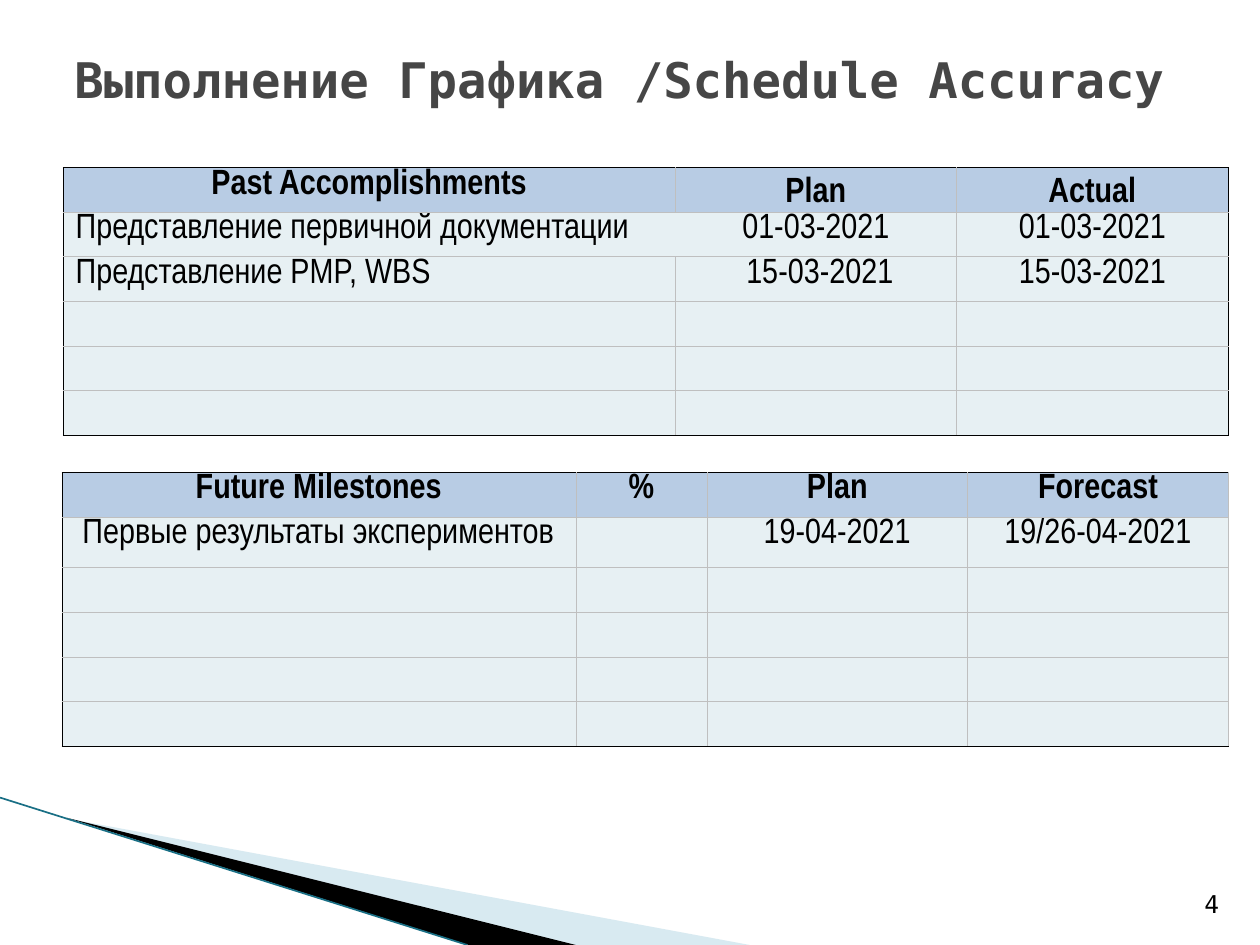
from dataclasses import dataclass

from lxml.etree import SubElement
from pptx import Presentation
from pptx.dml.color import RGBColor as Rgb
from pptx.enum.shapes import MSO_CONNECTOR as Connector
from pptx.enum.text import MSO_ANCHOR as Anchor, PP_ALIGN as Align
from pptx.oxml.ns import qn
from pptx.util import Inches, Pt


@dataclass(frozen=True)
class Theme:
    title_color: str = "464646"
    ink: str = "000000"
    header_fill: str = "B8CCE4"
    body_fill: str = "E7F0F3"
    grid: str = "BFBFBF"
    pale_wedge: str = "9FCBDC"
    accent_line: str = "196F85"
    mono: str = "DejaVu Sans Mono"
    narrow: str = "Arial Narrow"
    title_size: int = 28
    table_size: int = 20
    number_size: int = 14
    border_width: float = 0.23


class ScheduleSlide:
    """Holds the theme and the current slide."""

    def __init__(self, deck, theme):
        self.theme = theme
        self.slide = deck.slides.add_slide(deck.slide_layouts[5])
        self.shapes = self.slide.shapes

    def add_text(self, paragraph, text, font, size, color, bold=False):
        run = paragraph.add_run()
        run.text = text
        run.font.name = font
        run.font.size = Pt(size)
        run.font.bold = bold
        run.font.color.rgb = Rgb.from_string(color)

    def set_insets(self, frame, side, top, bottom):
        frame.margin_left = frame.margin_right = Inches(side)
        frame.margin_top, frame.margin_bottom = Inches(top), Inches(bottom)

    def title(self, text, left, top, width, height):
        heading = self.shapes.title
        heading.left, heading.top = Inches(left), Inches(top)
        heading.width, heading.height = Inches(width), Inches(height)
        frame = heading.text_frame
        frame.word_wrap = True
        frame.vertical_anchor = Anchor.TOP
        self.set_insets(frame, 0.09, 0.09, 0.04)
        paragraph = frame.paragraphs[0]
        paragraph.alignment = Align.LEFT
        self.add_text(paragraph, text, self.theme.mono, self.theme.title_size,
                      self.theme.title_color, bold=True)

    def wedge(self, points, color, opacity=100):
        corners = [(Inches(x), Inches(y)) for x, y in points]
        builder = self.shapes.build_freeform(*corners[0], scale=1.0)
        builder.add_line_segments(corners[1:], close=True)
        wedge = builder.convert_to_shape()
        wedge.shadow.inherit = False
        wedge.line.fill.background()
        wedge.fill.solid()
        wedge.fill.fore_color.rgb = Rgb.from_string(color)
        if opacity < 100:
            tint = wedge._element.spPr.find(".//" + qn("a:srgbClr"))
            SubElement(tint, qn("a:alpha"), val=str(opacity * 1000))

    def line(self, start, end, color, width):
        rule = self.shapes.add_connector(
            Connector.STRAIGHT, *(Inches(value) for value in start + end))
        rule.line.color.rgb = Rgb.from_string(color)
        rule.line.width = Pt(width)
        SubElement(rule._element.spPr, qn("a:effectLst"))

    def border(self, cell, sides):
        """Draw L, R, T and B borders; a colour of None hides the side."""
        properties = cell._tc.get_or_add_tcPr()
        for position, (side, color) in enumerate(sides.items()):
            edge = SubElement(properties, qn(f"a:ln{side}"),
                              w=str(Pt(self.theme.border_width)))
            properties.insert(position, edge)
            if color is None:
                SubElement(edge, qn("a:noFill"))
            else:
                fill = SubElement(edge, qn("a:solidFill"))
                SubElement(fill, qn("a:srgbClr"), val=color)

    def table(self, left, top, columns, row_heights, entries, right_edge,
              low_headers=(), open_sides=()):
        theme = self.theme
        grid = self.shapes.add_table(
            len(row_heights), len(columns), Inches(left), Inches(top),
            Inches(sum(columns)), Inches(sum(row_heights))).table
        grid.horz_banding = False
        for column, width in zip(grid.columns, columns):
            column.width = Inches(width)
        for row, height in zip(grid.rows, row_heights):
            row.height = Inches(height)

        last_row, last_column = len(row_heights) - 1, len(columns) - 1
        for r in range(last_row + 1):
            for c in range(last_column + 1):
                cell, header = grid.cell(r, c), r == 0
                self.set_insets(cell, 0.1, 0.02, 0.03)
                low = header and c in low_headers
                cell.vertical_anchor = Anchor.BOTTOM if low else Anchor.TOP
                cell.fill.solid()
                cell.fill.fore_color.rgb = Rgb.from_string(
                    theme.header_fill if header else theme.body_fill)
                sides = {
                    "L": theme.ink if c == 0 else theme.grid,
                    "R": right_edge if c == last_column else theme.grid,
                    "T": theme.ink if header else theme.grid,
                    "B": theme.ink if r == last_row else theme.grid,
                }
                sides.update({side: None for side in "LR"
                              if (r, c, side) in open_sides})
                self.border(cell, sides)
                text = entries[r][c] if r < len(entries) else ""
                if text:
                    paragraph = cell.text_frame.paragraphs[0]
                    centred = header or c > 0
                    paragraph.alignment = Align.CENTER if centred else Align.LEFT
                    paragraph.line_spacing = 0.91
                    paragraph.space_before = Pt(9)
                    self.add_text(paragraph, text, theme.narrow,
                                  theme.table_size, theme.ink, bold=header)

    def page_number(self, text, left, top, size):
        box = self.shapes.add_textbox(
            Inches(left), Inches(top), Inches(size), Inches(size))
        box.text_frame.word_wrap = True
        paragraph = box.text_frame.paragraphs[0]
        paragraph.space_before = Pt(9)
        self.add_text(paragraph, text, self.theme.mono,
                      self.theme.number_size, self.theme.ink)


def main():
    deck = Presentation()
    deck.slide_width, deck.slide_height = Inches(10), Inches(7.5)
    theme = Theme()
    schedule = ScheduleSlide(deck, theme)

    # Corner decoration
    schedule.wedge([(0.55, 6.5), (5.95, 7.5), (4.56, 7.5)],
                   theme.pale_wedge, opacity=40)
    schedule.wedge([(0.53, 6.49), (4.57, 7.5), (3.72, 7.5)], theme.ink)
    schedule.line((0, 6.33), (3.71, 7.5), theme.accent_line, 0.96)

    # Heading
    schedule.title("Выполнение Графика /Schedule Accuracy", 0.5, 0.3, 9, 0.7)

    # Finished work
    row_height = 2.12 / 6
    accomplishments = [
        ("Past Accomplishments", "Plan", "Actual"),
        ("Представление первичной документации", "01-03-2021", "01-03-2021"),
        ("Представление PMP, WBS", " 15-03-2021", "15-03-2021"),
    ]
    schedule.table(0.5, 1.33, [4.86, 2.23, 2.16], [row_height] * 6,
                   accomplishments, right_edge=theme.ink, low_headers=(1, 2),
                   open_sides={(1, 0, "R"), (1, 1, "L")})

    # Work ahead
    milestones = [
        ("Future Milestones", "%", "Plan", "Forecast"),
        (" Первые результаты экспериментов", "", "19-04-2021", "19/26-04-2021"),
    ]
    schedule.table(0.49, 3.75, [4.08, 1.04, 2.07, 2.07],
                   [row_height, 0.4] + [row_height] * 4,
                   milestones, right_edge=theme.grid)

    schedule.page_number("4", 9.46, 7.01, 0.4)
    deck.save("out.pptx")


if __name__ == "__main__":
    main()
